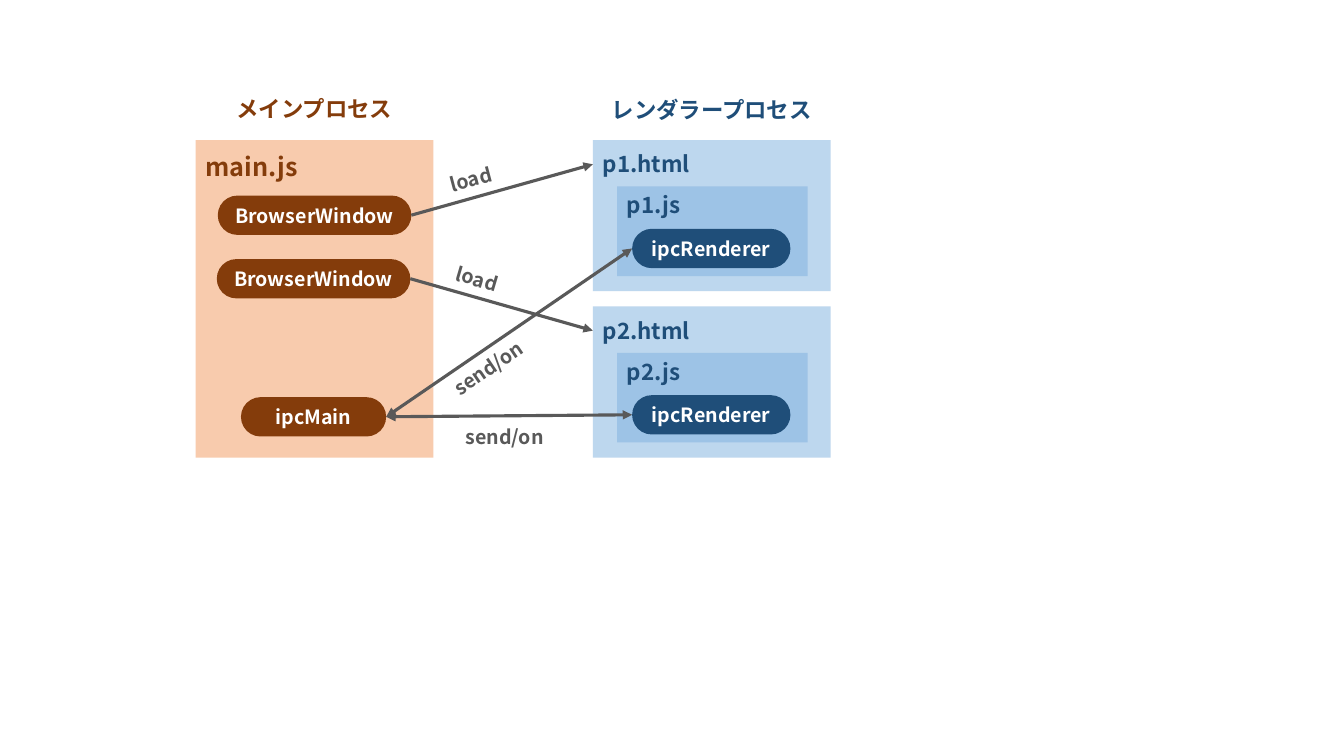
from lxml import etree
from pptx import Presentation
from pptx import util as u
from pptx.dml.color import RGBColor
from pptx.enum import shapes, text
from pptx.oxml.ns import qn

EMU_PER_PX = 9144
FONT = "Noto Sans CJK JP"
COLORS = {
    "main_panel": "F8CBAD",
    "main_dark": "843C0B",
    "page_panel": "BDD7EE",
    "script_panel": "9DC3E6",
    "renderer_dark": "1F4E79",
    "gray": "595959",
    "white": "FFFFFF",
}
PANEL_WIDTH = 236
PILL_HEIGHT = 39


def px(length):
    """Turn px into EMU."""
    return u.Emu(length * EMU_PER_PX)


def rgb(name):
    """Look up a named colour."""
    return RGBColor.from_string(COLORS[name])


def write(shape, words, size, color, align, anchor, spacing=None):
    """Fill a shape with one bold paragraph."""
    frame = shape.text_frame
    frame.word_wrap = True
    frame.vertical_anchor = anchor
    frame.text = words
    paragraph = frame.paragraphs[0]
    paragraph.alignment = align
    if spacing:
        paragraph.line_spacing = spacing
    run = paragraph.runs[0]
    run.font.size = u.Pt(size)
    run.font.bold = True
    run.font.color.rgb = rgb(color)
    run.font.name = FONT
    east_asian = etree.SubElement(run.font._element, qn("a:ea"))
    east_asian.set("typeface", FONT)


def add_block(slide, kind, box, fill):
    """Add a plain filled shape without outline or shadow."""
    shape = slide.shapes.add_shape(kind, *map(px, box))
    shape.shadow.inherit = False
    shape.fill.solid()
    shape.fill.fore_color.rgb = rgb(fill)
    shape.line.fill.background()
    return shape


def add_panel(slide, box, words, size, fill, color, spacing=None):
    """Add a rectangle titled at its top left."""
    panel = add_block(slide, shapes.MSO_SHAPE.RECTANGLE, box, fill)
    write(panel, words, size, color, text.PP_ALIGN.LEFT, text.MSO_ANCHOR.TOP, spacing)
    return panel


def add_pill(slide, left, top, width, words, fill):
    """Add a fully rounded object name."""
    box = (left, top, width, PILL_HEIGHT)
    pill = add_block(slide, shapes.MSO_SHAPE.ROUNDED_RECTANGLE, box, fill)
    pill.adjustments[0] = 0.5
    write(pill, words, 14, "white", text.PP_ALIGN.CENTER, text.MSO_ANCHOR.MIDDLE)
    return pill


def add_label(slide, box, words, size, color, align=text.PP_ALIGN.CENTER, rotation=0):
    """Add a text box, turned if need be."""
    label = slide.shapes.add_textbox(*map(px, box))
    write(label, words, size, color, align, text.MSO_ANCHOR.TOP)
    label.text_frame.auto_size = text.MSO_AUTO_SIZE.SHAPE_TO_FIT_TEXT
    label.rotation = rotation


def add_arrow(slide, source, end, target=None, both_ways=False):
    """Draw an arrow from a pill's right side to a point or a pill's left side."""
    start = (source.left + source.width, source.top + source.height // 2)
    arrow = slide.shapes.add_connector(shapes.MSO_CONNECTOR.STRAIGHT, *start, *end)
    arrow.begin_connect(source, 3)
    if target is not None:
        arrow.end_connect(target, 1)
    arrow.line.color.rgb = rgb("gray")
    arrow.line.width = u.Pt(2.25)
    line = arrow.line._get_or_add_ln()
    for tag in ["a:headEnd", "a:tailEnd"] if both_ways else ["a:tailEnd"]:
        etree.SubElement(line, qn(tag)).set("type", "triangle")
    etree.SubElement(arrow._element.spPr, qn("a:effectLst"))


def add_main_process(slide, left, top):
    """Draw the main process and return its two windows and ipcMain."""
    add_label(slide, (left, top - 50, PANEL_WIDTH, 37), "メインプロセス", 16, "main_dark")
    box = (left, top, PANEL_WIDTH, 315)
    add_panel(slide, box, "main.js", 18, "main_panel", "main_dark", 1.2)
    pills = [
        (22, 55, 192, "BrowserWindow"),
        (21, 118, 192, "BrowserWindow"),
        (45, 255, 144, "ipcMain"),
    ]
    return [
        add_pill(slide, left + x, top + y, width, words, "main_dark")
        for x, y, width, words in pills
    ]


def add_page(slide, left, top, name):
    """Draw one page with its script and return the page and ipcRenderer."""
    page_box = (left, top, PANEL_WIDTH, 150)
    script_box = (left + 24, top + 46, 189, 89)
    page = add_panel(slide, page_box, f"{name}.html", 16, "page_panel", "renderer_dark", 1.2)
    add_panel(slide, script_box, f"{name}.js", 16, "script_panel", "renderer_dark")
    renderer = add_pill(slide, left + 39, top + 88, 157, "ipcRenderer", "renderer_dark")
    return page, renderer


def add_renderer_process(slide, left, top):
    """Draw the renderer process and return its pages with their renderers."""
    box = (left, top - 49, PANEL_WIDTH, 37)
    add_label(slide, box, "レンダラープロセス", 16, "renderer_dark")
    return [add_page(slide, left, top + 165 * i, f"p{i + 1}") for i in range(2)]


def add_messages(slide, windows, ipc_main, pages):
    """Join the two processes with arrows and name each message."""
    for window, (page, renderer) in zip(windows, pages):
        add_arrow(slide, window, (page.left, page.top + px(24)))
        end = (renderer.left, renderer.top + renderer.height // 2)
        add_arrow(slide, ipc_main, end, renderer, both_ways=True)
    left, center = text.PP_ALIGN.LEFT, text.PP_ALIGN.CENTER
    for x, y, width, words, align, rotation in [
        (436, 160, 70, "load", left, 345.2),
        (442, 261, 70, "load", left, 16.5),
        (430, 348, 109, "send/on", center, 325.9),
        (446, 417, 109, "send/on", center, 0),
    ]:
        add_label(slide, (x, y, width, 34), words, 14, "gray", align, rotation)


def main():
    """Build the process diagram and save it."""
    presentation = Presentation()
    presentation.slide_width, presentation.slide_height = px(1333), px(750)
    slide = presentation.slides.add_slide(presentation.slide_layouts[6])
    *windows, ipc_main = add_main_process(slide, 194, 139)
    pages = add_renderer_process(slide, 588, 139)
    add_messages(slide, windows, ipc_main, pages)
    presentation.save("out.pptx")


if __name__ == "__main__":
    main()
